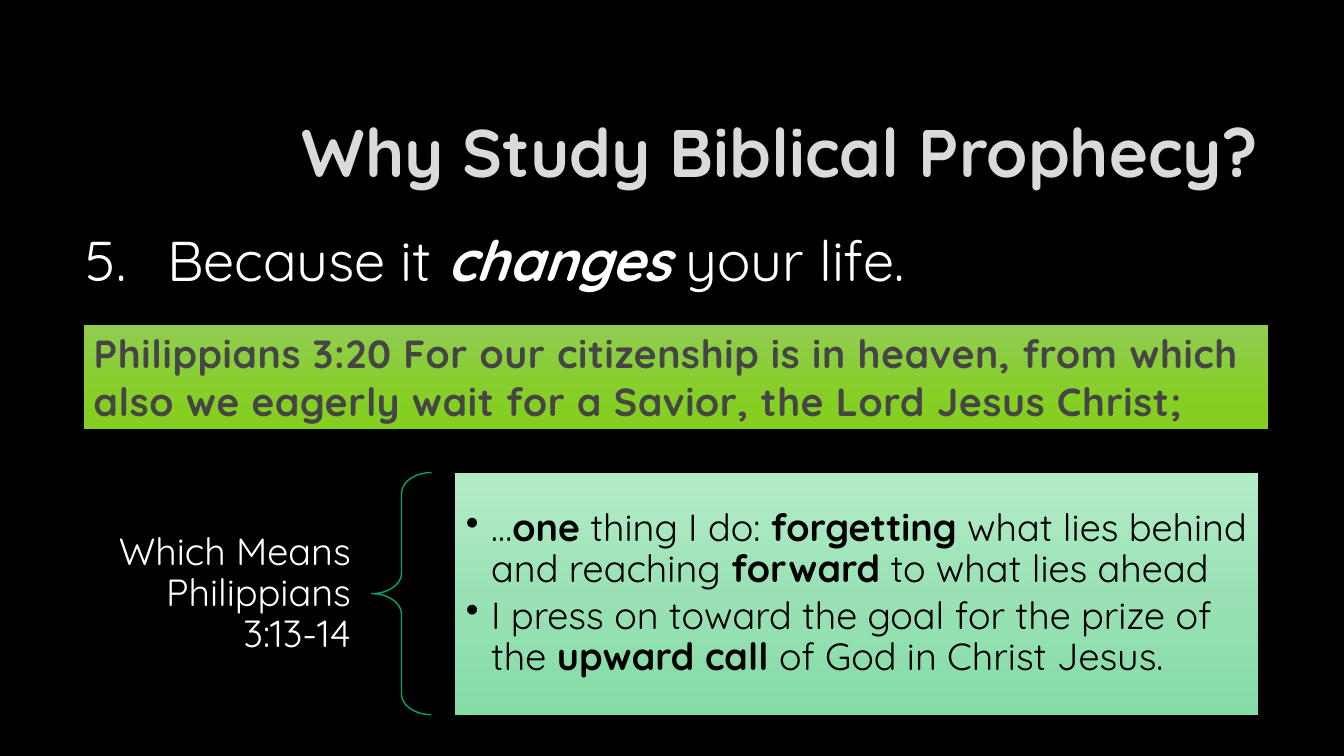
from copy import deepcopy

from lxml import etree
from pptx import Presentation
from pptx.dml.color import RGBColor
from pptx.enum.shapes import MSO_SHAPE
from pptx.enum.text import MSO_ANCHOR, PP_ALIGN
from pptx.oxml.ns import qn
from pptx.util import Cm, Pt

RECTANGLE, LEFT_BRACE = MSO_SHAPE.RECTANGLE, MSO_SHAPE.LEFT_BRACE
TOP, MIDDLE = MSO_ANCHOR.TOP, MSO_ANCHOR.MIDDLE
LEFT, RIGHT = PP_ALIGN.LEFT, PP_ALIGN.RIGHT

THEME = {
    "font": "Quicksand",
    "background": "000000",
    "title": ("DADADA", 48),
    "reason": ("FFFFFF", 40),
    "verse": ("454545", 28),
    "label": ("FFFFFF", 27),
    "meaning": ("000000", 27),
    "brace": "01A764",
    "verse_fill": [(0, "91CC51"), (0.78, "85CF22")],
    "meaning_fill": [(0, "B4ECC8"), (0.52, "99E1B4"), (1, "84DCA6")],
}


def write(shape, style, paragraphs, anchor=TOP, margins=(0.25, 0.13), bullet=None, indent=0, **layout):
    frame = shape.text_frame
    side, edge = (Cm(margin) for margin in margins)
    settings = {
        "word_wrap": True, "vertical_anchor": anchor,
        "margin_left": side, "margin_right": side,
        "margin_top": edge, "margin_bottom": edge,
    }
    for name, value in settings.items():
        setattr(frame, name, value)
    color, size = THEME[style]
    for index, runs in enumerate(paragraphs):
        paragraph = frame.add_paragraph() if index else frame.paragraphs[0]
        for name, value in layout.items():
            setattr(paragraph, name, value)
        if bullet:
            properties = paragraph._p.get_or_add_pPr()
            properties.set("marL", str(Cm(indent)))
            properties.set("indent", str(-Cm(indent)))
            tag, attributes = bullet
            etree.SubElement(properties, qn(tag), attributes)
        for text, emphasis in runs:
            run = paragraph.add_run()
            run.text = text
            font = {
                "name": THEME["font"], "size": Pt(size),
                "bold": "b" in emphasis, "italic": "i" in emphasis,
            }
            for name, value in font.items():
                setattr(run.font, name, value)
            run.font.color.rgb = RGBColor.from_string(color)


def add_panel(shapes, box, stops):
    panel = shapes.add_shape(RECTANGLE, *map(Cm, box))
    panel.shadow.inherit = False
    panel.line.fill.background()
    panel.fill.gradient()
    panel.fill.gradient_angle = 270
    stop_list = panel._element.spPr.find(".//" + qn("a:gsLst"))
    for _ in stops[2:]:
        stop_list.append(deepcopy(stop_list[-1]))
    for stop, (position, color) in zip(panel.fill.gradient_stops, stops):
        stop.position = position
        stop.color.rgb = RGBColor.from_string(color)
    return panel


deck = Presentation()
deck.slide_width, deck.slide_height = Cm(33.87), Cm(19.05)
slide = deck.slides.add_slide(deck.slide_layouts[6])
slide.background.fill.solid()
slide.background.fill.fore_color.rgb = RGBColor.from_string(THEME["background"])

title = slide.shapes.add_textbox(Cm(3.1), Cm(2.13), Cm(28.85), Cm(3.58))
write(title, "title", [[("Why Study Biblical Prophecy?", "b")]],
      anchor=MIDDLE, alignment=RIGHT, line_spacing=0.9)

reason = slide.shapes.add_textbox(Cm(1.9), Cm(5.74), Cm(31.04), Cm(11.18))
write(reason, "reason",
      [[("Because it ", ""), ("changes", "bi"), (" your life.", "")]],
      bullet=("a:buAutoNum", {"type": "arabicPeriod", "startAt": "5"}), indent=2.06,
      alignment=LEFT, line_spacing=0.9, space_before=Pt(10))

verse = add_panel(slide.shapes, (2.11, 8.18, 29.85, 2.64), THEME["verse_fill"])
write(verse, "verse",
      [[("Philippians 3:20 For our citizenship is in heaven, from which also we "
         "eagerly wait for a Savior, the Lord Jesus Christ;", "b")]],
      alignment=LEFT)
for run in verse.text_frame.paragraphs[0].runs:
    run.font._element.set("spc", "50")

explanation = slide.shapes.add_group_shape().shapes
block_top, block_height = 11.91, 6.1

label = explanation.add_textbox(Cm(1.93), Cm(13.16), Cm(7.44), Cm(3.63))
write(label, "label", [[("Which Means Philippians 3:13-14", "")]],
      anchor=MIDDLE, margins=(0.53, 0.18), alignment=RIGHT, line_spacing=0.9, space_after=Pt(9.45))

brace = explanation.add_shape(LEFT_BRACE, Cm(9.37), Cm(block_top), Cm(1.5), Cm(block_height))
brace.shadow.inherit = False
brace.fill.background()
brace.line.color.rgb = RGBColor.from_string(THEME["brace"])
brace.line.width = Pt(1)
brace.adjustments[0], brace.adjustments[1] = 0.35, 0.5

meaning = add_panel(explanation, (11.46, block_top, 20.24, block_height), THEME["meaning_fill"])
write(meaning, "meaning", [
    [("…", ""), ("one", "b"), (" thing I do: ", ""), ("forgetting", "b"),
     (" what lies behind and reaching ", ""), ("forward", "b"), (" to what lies ahead", "")],
    [("I press on toward the goal for the prize of the ", ""), ("upward call ", "b"),
     ("of God in Christ Jesus.", "")],
], anchor=MIDDLE, margins=(0.28, 0.28), bullet=("a:buChar", {"char": "•"}), indent=0.64,
    alignment=LEFT, line_spacing=0.9, space_after=Pt(4.05))

deck.save("out.pptx")
